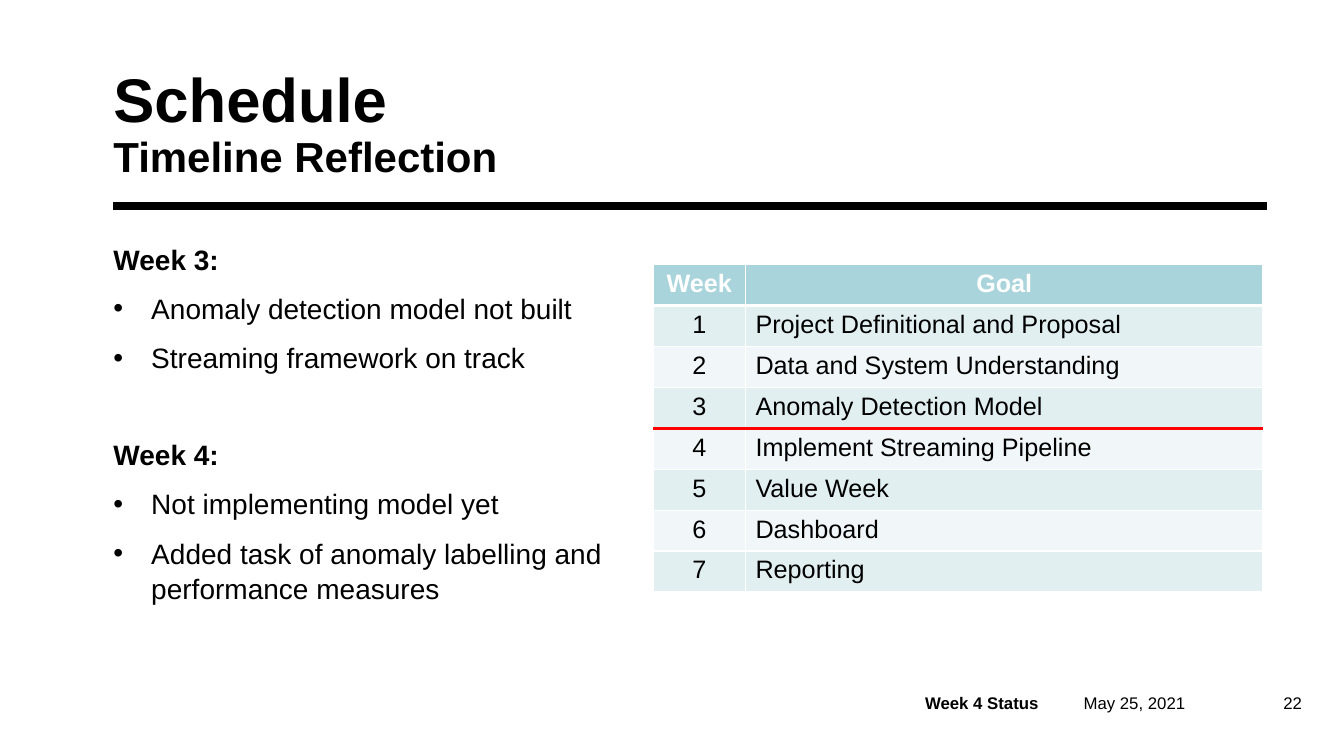
from lxml import etree
from pptx import Presentation
from pptx.dml.color import RGBColor
from pptx.enum.shapes import MSO_CONNECTOR
from pptx.enum.text import MSO_ANCHOR, PP_ALIGN
from pptx.oxml.ns import qn
from pptx.util import Emu, Pt

STRAIGHT = MSO_CONNECTOR.STRAIGHT
TOP, MIDDLE, BOTTOM = MSO_ANCHOR.TOP, MSO_ANCHOR.MIDDLE, MSO_ANCHOR.BOTTOM
LEFT, CENTER, RIGHT = PP_ALIGN.LEFT, PP_ALIGN.CENTER, PP_ALIGN.RIGHT

EMU_PER_PX = 9525
FONT = "Arial"
BLACK, WHITE, RED = "000000", "FFFFFF", "FF0000"
HEADER_FILL, ROW_FILLS = "A9D4DB", ("E2EFF1", "F1F7F8")

MARGIN_LEFT = 108
FOOTER_TOP, FOOTER_HEIGHT = 660, 19
TABLE_LEFT, TABLE_TOP, ROW_HEIGHT = 622, 252, 39
COLUMN_WIDTHS = (88, 493)
WEEKS_DONE = 3
BULLET_INDENT = 36

GOALS = (
    "Project Definitional and Proposal",
    "Data and System Understanding",
    "Anomaly Detection Model",
    "Implement Streaming Pipeline",
    "Value Week",
    "Dashboard",
    "Reporting",
)
REFLECTIONS = (
    ("Week 3:", ("Anomaly detection model not built",
                 "Streaming framework on track")),
    ("Week 4:", ("Not implementing model yet",
                 "Added task of anomaly labelling and performance measures")),
)


def px(length):
    """Turn pixels into EMU."""
    return Emu(length * EMU_PER_PX)


def color(value):
    """Turn a hex string into a colour."""
    return RGBColor.from_string(value)


def write(paragraph, text, size=18, bold=False, fill=BLACK, align=LEFT):
    """Add a formatted run to a paragraph."""
    paragraph.alignment = align
    run = paragraph.add_run()
    run.text = text
    run.font.name = FONT
    run.font.size = Pt(size)
    run.font.bold = bold
    run.font.color.rgb = color(fill)


def add_frame(slide, left, top, width, height, anchor=TOP, inset=(0, 0)):
    """Add a wrapping text box and return its text frame."""
    shape = slide.shapes.add_textbox(px(left), px(top), px(width), px(height))
    frame = shape.text_frame
    frame.word_wrap = True
    frame.vertical_anchor = anchor
    frame.margin_left = frame.margin_right = px(inset[0])
    frame.margin_top = frame.margin_bottom = px(inset[1])
    return frame


def add_line(slide, left, right, y, stroke, width):
    """Add a horizontal line without a shadow."""
    line = slide.shapes.add_connector(STRAIGHT, px(left), px(y), px(right), px(y))
    line.line.color.rgb = color(stroke)
    line.line.width = Pt(width)
    etree.SubElement(line._element.spPr, qn("a:effectLst"))


def add_title(slide):
    """Add the two-line title."""
    frame = add_frame(slide, MARGIN_LEFT, 40, 1059, 133, anchor=BOTTOM)
    paragraph = frame.paragraphs[0]
    paragraph.line_spacing = 0.9
    write(paragraph, "Schedule", size=44, bold=True)
    paragraph.add_line_break()
    write(paragraph, "Timeline Reflection", size=30, bold=True)


def add_bullet(paragraph):
    """Give a paragraph a hanging bullet."""
    properties = paragraph._p.get_or_add_pPr()
    properties.set("marL", str(px(BULLET_INDENT)))
    properties.set("indent", str(-px(BULLET_INDENT)))
    etree.SubElement(properties, qn("a:buFont"), typeface=FONT)
    etree.SubElement(properties, qn("a:buChar"), char="•")


def add_reflections(slide):
    """Add the weekly headings with their bullets."""
    frame = add_frame(slide, MARGIN_LEFT, 229, 517, 422)
    for index, (heading, points) in enumerate(REFLECTIONS):
        paragraph = frame.add_paragraph() if index else frame.paragraphs[0]
        paragraph.line_spacing = 1.05
        paragraph.space_before = Pt(44 if index else 0)
        write(paragraph, heading, size=20, bold=True)
        for point in points:
            paragraph = frame.add_paragraph()
            paragraph.line_spacing = 1.05
            paragraph.space_before = Pt(10)
            add_bullet(paragraph)
            write(paragraph, point, size=20)


def set_borders(cell, top, bottom):
    """Draw white cell borders with the given top and bottom widths."""
    properties = cell._tc.get_or_add_tcPr()
    for side, width in (("L", 1), ("R", 1), ("T", top), ("B", bottom)):
        border = etree.SubElement(properties, qn(f"a:ln{side}"), w=str(Pt(width)))
        solid = etree.SubElement(border, qn("a:solidFill"))
        etree.SubElement(solid, qn("a:srgbClr"), val=WHITE)


def add_schedule(slide):
    """Add the table of weekly goals."""
    rows = [("Week", "Goal")]
    rows += [(str(week), goal) for week, goal in enumerate(GOALS, 1)]
    table = slide.shapes.add_table(
        len(rows), len(COLUMN_WIDTHS), px(TABLE_LEFT), px(TABLE_TOP),
        px(sum(COLUMN_WIDTHS)), px(ROW_HEIGHT * len(rows))).table
    for column, width in zip(table.columns, COLUMN_WIDTHS):
        column.width = px(width)
    for row_index, texts in enumerate(rows):
        header = row_index == 0
        table.rows[row_index].height = px(ROW_HEIGHT)
        for column_index, text in enumerate(texts):
            cell = table.cell(row_index, column_index)
            set_borders(cell, top=3 if row_index == 1 else 1, bottom=3 if header else 1)
            cell.fill.solid()
            cell.fill.fore_color.rgb = color(
                HEADER_FILL if header else ROW_FILLS[(row_index - 1) % 2])
            write(cell.text_frame.paragraphs[0], text, bold=header,
                  fill=WHITE if header else BLACK,
                  align=CENTER if header or column_index == 0 else LEFT)


def add_footer(slide, text, left, width, inset=(10, 5), **text_format):
    """Add one footer item."""
    frame = add_frame(slide, left, FOOTER_TOP, width, FOOTER_HEIGHT, MIDDLE, inset)
    write(frame.paragraphs[0], text, size=12, **text_format)


def main():
    """Build the slide and save it."""
    presentation = Presentation()
    presentation.slide_width, presentation.slide_height = px(1280), px(720)
    slide = presentation.slides.add_slide(presentation.slide_layouts[6])
    add_line(slide, MARGIN_LEFT, 1207, 196, BLACK, 6)
    add_title(slide)
    add_footer(slide, "May 25, 2021", 1032, 160, inset=(0, 5))
    add_footer(slide, "Week 4 Status", 871, 154, bold=True)
    add_footer(slide, "22", 1207, 43, align=RIGHT)
    add_reflections(slide)
    add_schedule(slide)
    add_line(slide, TABLE_LEFT, TABLE_LEFT + sum(COLUMN_WIDTHS),
             TABLE_TOP + ROW_HEIGHT * (WEEKS_DONE + 1), RED, 2)
    presentation.save("out.pptx")


if __name__ == "__main__":
    main()
